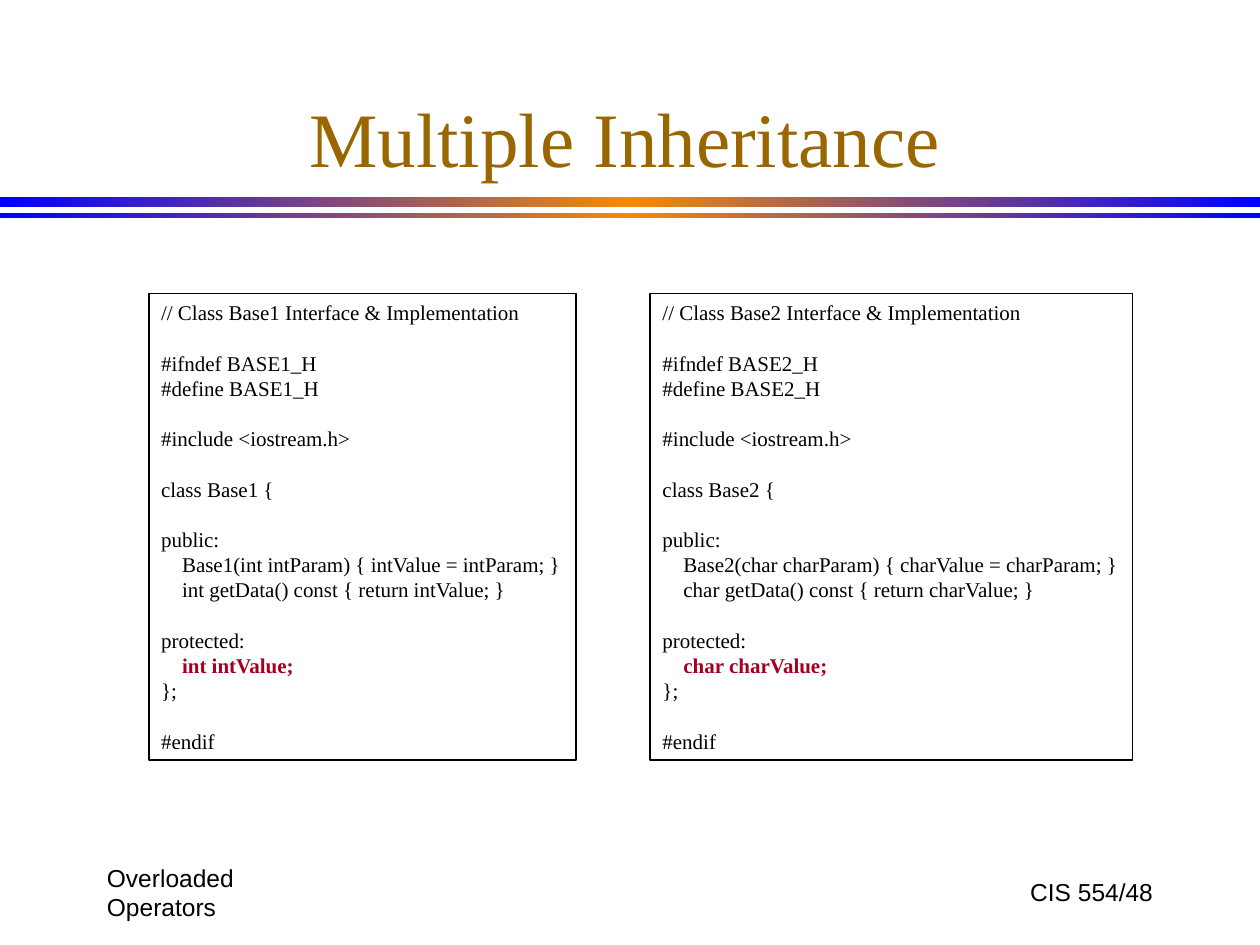
import copy
from dataclasses import dataclass

import pptx
import pptx.dml.color
import pptx.enum.shapes
import pptx.enum.text
import pptx.oxml.ns
import pptx.util
from pptx.util import Inches

COLORS = {"text": "000000", "title": "996600", "key": "A50021",
          "edge": "0000FF", "mid": "F38909"}
SERIF, SANS = "Times New Roman", "Arial"
ALIGN = pptx.enum.text.PP_ALIGN
ANCHOR = pptx.enum.text.MSO_ANCHOR
FIT = pptx.enum.text.MSO_AUTO_SIZE
RECT = pptx.enum.shapes.MSO_SHAPE.RECTANGLE
LINE = pptx.util.Pt(14.4)
INDENT = pptx.util.Pt(12)


@dataclass
class Code:
    name: str
    kind: str
    left: float
    width: float

    def blocks(self) -> list[list[str]]:
        """Groups of code lines; a tab marks an indented line."""
        kind, guard = self.kind, self.name.upper() + "_H"
        value, param = f"{kind}Value", f"{kind}Param"
        return [
            [f"// Class {self.name} Interface & Implementation"],
            [f"#ifndef {guard}", f"#define {guard}"],
            ["#include <iostream.h>"],
            [f"class {self.name} {{"],
            ["public:",
             f"\t{self.name}({kind} {param}) {{ {value} = {param}; }}",
             f"\t{kind} getData() const {{ return {value}; }}"],
            ["protected:", f"\t{kind} {value};", "};"],
            ["#endif"],
        ]


@dataclass
class Label:
    text: str
    left: float
    align: ALIGN


CODES = [Code("Base1", "int", 1.18, 3.39), Code("Base2", "char", 5.16, 3.83)]
LABELS = [Label("Overloaded Operators", 0.75, ALIGN.LEFT),
          Label("CIS 554/48", 7.17, ALIGN.RIGHT)]
BARS = [(1.56, 0.08), (1.69, 0.04)]


def paint(name: str) -> pptx.dml.color.RGBColor:
    return pptx.dml.color.RGBColor.from_string(COLORS[name])


def apply(item, **values) -> None:
    for key, value in values.items():
        setattr(item, key, value)


def write(para, text: str, size: float, font: str,
          color: str = "text", bold: bool = False) -> None:
    run = para.add_run()
    run.text = text
    apply(run.font, size=pptx.util.Pt(size), name=font, bold=bold)
    run.font.color.rgb = paint(color)


def add_rect(slide, left: float, top: float, width: float, height: float):
    shape = slide.shapes.add_shape(
        RECT, Inches(left), Inches(top), Inches(width), Inches(height))
    shape.shadow.inherit = False
    return shape


def add_bar(slide, top: float, height: float) -> None:
    bar = add_rect(slide, 0, top, 10, height)
    bar.line.fill.background()
    bar.fill.gradient()
    bar.fill.gradient_angle = 0
    stops = bar._element.spPr.find(".//" + pptx.oxml.ns.qn("a:gsLst"))
    stops.insert(1, copy.deepcopy(stops[0]))
    marks = [(0, "edge"), (0.5, "mid"), (1, "edge")]
    for stop, (place, color) in zip(bar.fill.gradient_stops, marks):
        stop.position = place
        stop.color.rgb = paint(color)


def add_title(slide, text: str) -> None:
    title = slide.shapes.title
    apply(title, left=Inches(0.67), top=Inches(0.25),
          width=Inches(8.58), height=Inches(1.25))
    frame = title.text_frame
    apply(frame, vertical_anchor=ANCHOR.BOTTOM, auto_size=FIT.NONE)
    para = frame.paragraphs[0]
    para.alignment = ALIGN.CENTER
    write(para, text, 44, SERIF, "title")


def add_label(slide, label: Label) -> None:
    box = slide.shapes.add_textbox(
        Inches(label.left), Inches(6.83), Inches(2.08), Inches(0.5))
    frame = box.text_frame
    apply(frame, word_wrap=True, vertical_anchor=ANCHOR.MIDDLE)
    para = frame.paragraphs[0]
    para.alignment = label.align
    write(para, label.text, 14, SANS)


def add_code(slide, code: Code) -> None:
    box = add_rect(slide, code.left, 2.33, code.width, 3.7)
    box.fill.background()
    box.line.color.rgb = paint("text")
    box.line.width = pptx.util.Pt(1)
    frame = box.text_frame
    apply(frame, word_wrap=False, vertical_anchor=ANCHOR.TOP,
          auto_size=FIT.SHAPE_TO_FIT_TEXT)
    para = frame.paragraphs[0]
    field = f"\t{code.kind} {code.kind}Value;"
    for group, block in enumerate(code.blocks()):
        for row, text in enumerate(block):
            if group or row:
                para = frame.add_paragraph()
            gap = LINE if group and not row else 0
            apply(para, alignment=ALIGN.LEFT, line_spacing=LINE,
                  space_before=gap)
            if text.startswith("\t"):
                para._p.get_or_add_pPr().set("marL", str(INDENT))
            key = text == field
            write(para, text.strip(), 12, SERIF, "key" if key else "text", key)


def main() -> None:
    deck = pptx.Presentation()
    apply(deck, slide_width=Inches(10), slide_height=Inches(7.5))
    slide = deck.slides.add_slide(deck.slide_layouts[5])
    for top, height in BARS:
        add_bar(slide, top, height)
    for label in LABELS:
        add_label(slide, label)
    add_title(slide, "Multiple Inheritance")
    for code in CODES:
        add_code(slide, code)
    deck.save("out.pptx")


if __name__ == "__main__":
    main()
